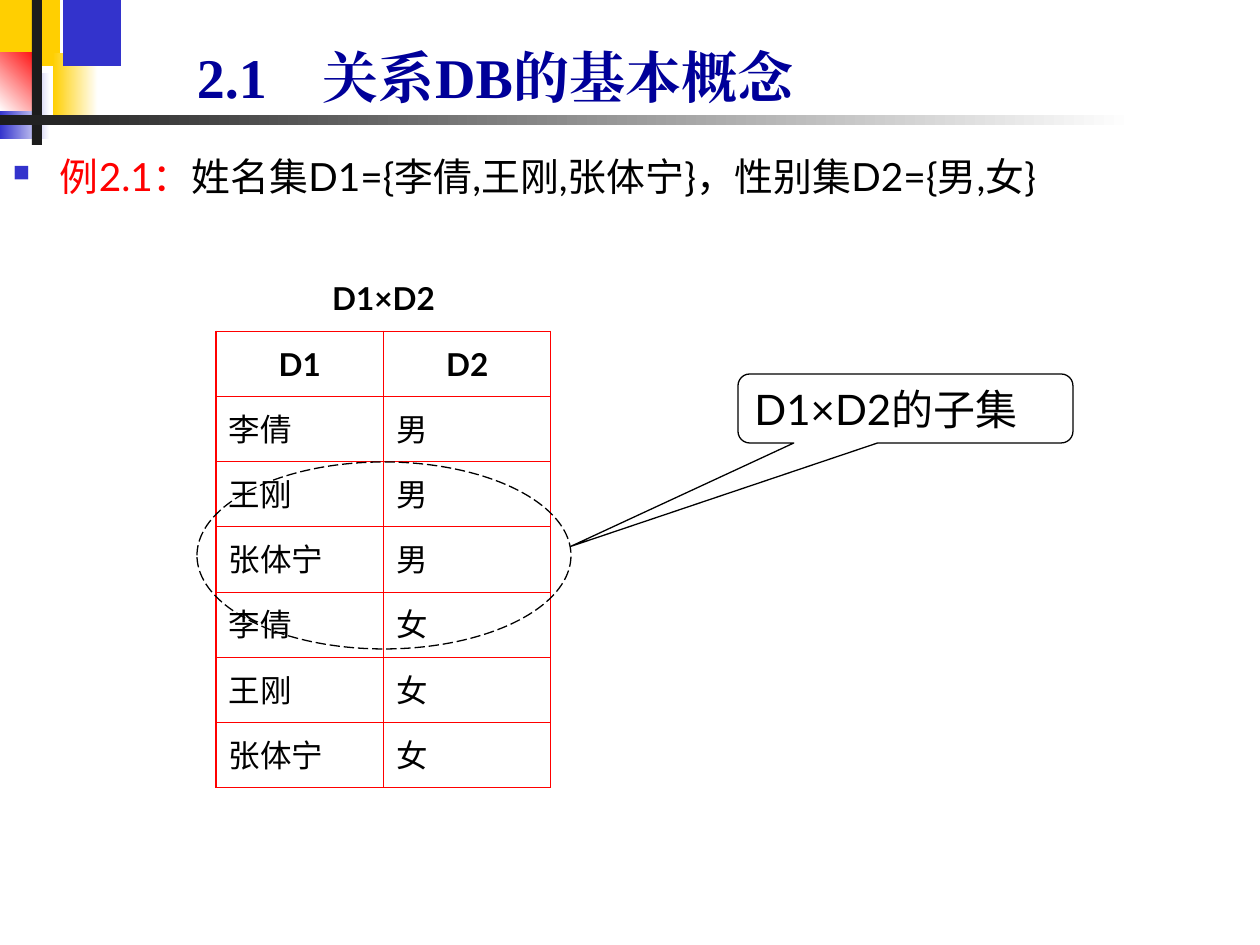
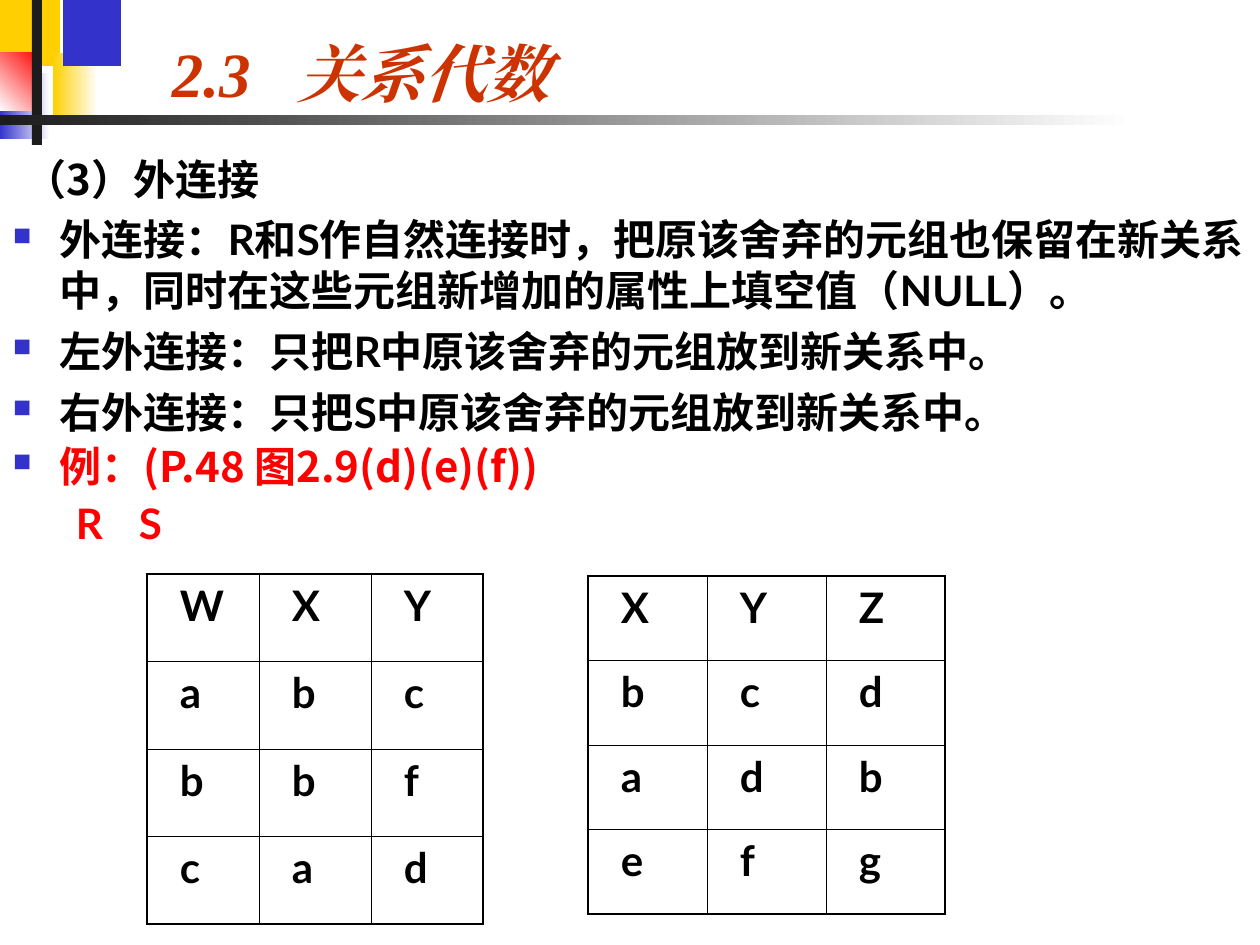
"""Builds two slides on relational databases: a Cartesian product and outer joins."""
from dataclasses import dataclass, field

from lxml.etree import SubElement
from pptx import Presentation
from pptx.dml.color import RGBColor
from pptx.enum.dml import MSO_LINE
from pptx.enum.shapes import MSO_SHAPE as Shape
from pptx.enum.text import MSO_ANCHOR as Anchor, PP_ALIGN as Align
from pptx.oxml.ns import qn
from pptx.util import Emu, Pt

PX_PER_INCH = 126
SLIDE_W, SLIDE_H = 1260, 945
INSET_X, INSET_Y = 13, 6


@dataclass(frozen=True)
class Theme:
    yellow: str = "FFCF01"
    blue: str = "3333CC"
    red: str = "FF0000"
    dark: str = "1C1C1C"
    white: str = "FFFFFF"
    black: str = "000000"
    navy: str = "000099"
    rust: str = "CC3300"
    body_font: str = "Lato"
    cjk_font: str = "Noto Sans CJK SC"
    title_font: str = "Times New Roman"
    body: float = 24
    example: float = 22.2
    cell: float = 18
    title: float = 32
    chapter: float = 36
    gap: float = 6


T = Theme()


@dataclass(frozen=True)
class Box:
    x: int
    y: int
    w: int
    h: int

    def emu(self) -> tuple:
        return px(self.x), px(self.y), px(self.w), px(self.h)


@dataclass(frozen=True)
class Block:
    box: Box
    colors: tuple
    angle: float = 0


@dataclass(frozen=True)
class Run:
    text: str
    size: float = T.body
    color: str = T.black
    font: str = T.body_font
    bold: bool = False
    italic: bool = False


@dataclass(frozen=True)
class Para:
    runs: list
    bullet: bool = False
    indent: int = 0
    before: float = T.gap
    align: Align = Align.LEFT
    tabs: tuple = ()


@dataclass(frozen=True)
class Grid:
    box: Box
    rows: list
    color: str
    outer: float
    inner: float
    size: float = T.body
    captioned: bool = False
    bold_rows: int = 0
    indent: int = 0
    anchor: Anchor = Anchor.TOP


@dataclass(frozen=True)
class Heading:
    box: Box
    text: str
    style: dict = field(default_factory=dict)


CORNER = [
    Block(Box(0, 0, 60, 66), (T.yellow,)),
    Block(Box(53, 53, 45, 66), (T.yellow, T.white)),
    Block(Box(63, 0, 58, 66), (T.blue,)),
    Block(Box(0, 73, 50, 66), (T.blue, T.white)),
    Block(Box(0, 53, 42, 58), (T.white, T.red), 45),
    Block(Box(32, 0, 10, 145), (T.dark,)),
    Block(Box(0, 115, 1134, 10), (T.dark, T.white)),
]
TITLE_TAB = 112
HANG = 47


def px(n: float) -> Emu:
    return Emu(round(n * 914400 / PX_PER_INCH))


def rgb(color: str) -> RGBColor:
    return RGBColor.from_string(color)


def assign(target, values: dict) -> None:
    for name, value in values.items():
        setattr(target, name, value)


def add_run(p, run: Run) -> None:
    r = p.add_run()
    r.text = run.text
    assign(r.font, {"size": Pt(run.size), "bold": run.bold,
                    "italic": run.italic, "name": run.font})
    r.font.color.rgb = rgb(run.color)
    SubElement(r.font._element, qn("a:ea"), typeface=run.font)


def fill_paragraph(p, para: Para, first: bool) -> None:
    pPr = p._p.get_or_add_pPr()
    pPr.set("marL", str(px(HANG if para.bullet else para.indent)))
    pPr.set("indent", str(px(-HANG if para.bullet else 0)))
    if para.bullet:
        color = SubElement(pPr, qn("a:buClr"))
        SubElement(color, qn("a:srgbClr"), val=T.blue)
        SubElement(pPr, qn("a:buSzPct"), val="60000")
        SubElement(pPr, qn("a:buChar"), char="■")
    else:
        SubElement(pPr, qn("a:buNone"))
    if para.tabs:
        stops = SubElement(pPr, qn("a:tabLst"))
        for stop in para.tabs:
            SubElement(stops, qn("a:tab"), pos=str(px(stop)), algn="l")
    assign(p, {"alignment": para.align,
               "space_before": Pt(0 if first else para.before)})
    for run in para.runs:
        add_run(p, run)


def fill_text(tf, paras: list, anchor: Anchor = Anchor.TOP) -> None:
    assign(tf, {"word_wrap": True, "vertical_anchor": anchor,
                "margin_left": px(INSET_X), "margin_right": px(INSET_X),
                "margin_top": px(INSET_Y), "margin_bottom": px(INSET_Y)})
    for i, para in enumerate(paras):
        fill_paragraph(tf.add_paragraph() if i else tf.paragraphs[0], para, i == 0)


def add_text(s, box: Box, paras: list, anchor: Anchor = Anchor.TOP) -> None:
    fill_text(s.shapes.add_textbox(*box.emu()).text_frame, paras, anchor)


def add_block(s, block: Block) -> None:
    sp = s.shapes.add_shape(Shape.RECTANGLE, *block.box.emu())
    sp.shadow.inherit = False
    sp.line.fill.background()
    if len(block.colors) == 1:
        sp.fill.solid()
        sp.fill.fore_color.rgb = rgb(block.colors[0])
        return
    sp.fill.gradient()
    sp.fill.gradient_angle = block.angle
    for i, (stop, color) in enumerate(zip(sp.fill.gradient_stops, block.colors)):
        stop.position = i
        stop.color.rgb = rgb(color)


def add_outline(s, kind: Shape, box: Box):
    sp = s.shapes.add_shape(kind, *box.emu())
    sp.shadow.inherit = False
    sp.fill.background()
    sp.line.color.rgb = rgb(T.black)
    sp.line.width = Pt(0.75)
    return sp


def set_borders(cell, color: str, widths: dict) -> None:
    tcPr = cell._tc.get_or_add_tcPr()
    for side, width in widths.items():
        ln = SubElement(tcPr, qn(f"a:ln{side}"), w=str(Pt(width)))
        if width:
            SubElement(SubElement(ln, qn("a:solidFill")), qn("a:srgbClr"), val=color)
        else:
            SubElement(ln, qn("a:noFill"))


def add_grid(s, grid: Grid) -> None:
    n_rows, n_cols = len(grid.rows), len(grid.rows[-1])
    table = s.shapes.add_table(n_rows, n_cols, *grid.box.emu()).table
    assign(table, {"first_row": False, "horz_banding": False})
    for column in table.columns:
        column.width = px(grid.box.w / n_cols)
    for row in table.rows:
        row.height = px(grid.box.h / n_rows)
    if grid.captioned:
        table.cell(0, 0).merge(table.cell(0, n_cols - 1))
    for i in range(n_rows):
        header = i < grid.bold_rows
        for j in range(n_cols):
            cell = table.cell(i, j)
            edges = {"L": j == 0, "R": j == n_cols - 1,
                     "T": i == 0, "B": i == n_rows - 1}
            widths = {k: grid.outer if edge else grid.inner for k, edge in edges.items()}
            if grid.captioned and i == 0:
                widths.update(L=0, R=0, T=0)
            set_borders(cell, grid.color, widths)
            cell.fill.background()
            assign(cell, {"vertical_anchor": grid.anchor,
                          "margin_left": px(INSET_X), "margin_right": px(INSET_X),
                          "margin_top": px(INSET_Y), "margin_bottom": px(INSET_Y)})
            if j < len(grid.rows[i]):
                run = Run(grid.rows[i][j], grid.size, bold=header or not grid.bold_rows)
                align = Align.CENTER if header else Align.LEFT
                para = Para([run], indent=grid.indent, align=align)
                fill_paragraph(cell.text_frame.paragraphs[0], para, True)


def add_slide(prs, heading: Heading):
    s = prs.slides.add_slide(prs.slide_layouts[6])
    for block in CORNER:
        add_block(s, block)
    run = Run(heading.text, font=T.title_font, bold=True, **heading.style)
    add_text(s, heading.box, [Para([run], tabs=(TITLE_TAB,))], Anchor.BOTTOM)
    return s


def build_product(prs) -> None:
    s = add_slide(prs, Heading(Box(184, 0, 673, 116), "2.1\t关系DB的基本概念",
                               {"size": T.title, "color": T.navy}))
    add_text(s, Box(0, 147, SLIDE_W, 107), [Para([
        Run("例2.1：", T.example, T.red),
        Run("姓名集D1={李倩,王刚,张体宁}，性别集D2={男,女}", T.example)], bullet=True)])
    names, genders = ["李倩", "王刚", "张体宁"], ["男", "女"]
    pairs = [[name, gender] for gender in genders for name in names]
    add_grid(s, Grid(Box(216, 266, 335, 522), [["D1×D2"], ["D1", "D2"], *pairs],
                     T.red, 0.75, 0.75, T.cell, captioned=True, bold_rows=2,
                     anchor=Anchor.MIDDLE))
    subset = add_outline(s, Shape.OVAL, Box(197, 462, 374, 187))
    subset.line.dash_style = MSO_LINE.LONG_DASH
    callout = add_outline(s, Shape.ROUNDED_RECTANGULAR_CALLOUT, Box(738, 374, 335, 69))
    for i, value in enumerate((-1.0, 2.0, 0.17)):
        callout.adjustments[i] = value
    fill_text(callout.text_frame, [Para([Run("D1×D2的子集")])])


def build_outer_join(prs) -> None:
    s = add_slide(prs, Heading(Box(159, 0, 859, 116), "2.3\t关系代数",
                               {"size": T.chapter, "color": T.rust, "italic": True}))
    points = [
        "外连接：R和S作自然连接时，把原该舍弃的元组也保留在新关系中，"
        "同时在这些元组新增加的属性上填空值（NULL）。",
        "左外连接：只把R中原该舍弃的元组放到新关系中。",
        "右外连接：只把S中原该舍弃的元组放到新关系中。",
    ]
    add_text(s, Box(0, 147, SLIDE_W, 798), [
        Para([Run("（3）外连接", font=T.cjk_font, bold=True)], indent=12),
        *(Para([Run(point, bold=True)], bullet=True) for point in points),
        Para([Run("例：", color=T.red, bold=True),
              Run("(P.48 图2.9(d)(e)(f))", color=T.red, font=T.cjk_font, bold=True)],
             bullet=True, before=2),
        Para([Run("\tR\tS", color=T.red, bold=True)], before=4, tabs=(246, 577)),
    ])
    relations = [(Box(147, 574, 336, 350), ("WXY", "abc", "bbf", "cad")),
                 (Box(588, 576, 357, 338), ("XYZ", "bcd", "adb", "efg"))]
    for box, rows in relations:
        add_grid(s, Grid(box, rows, T.black, 1.08, 0.45, indent=20))


def main() -> None:
    prs = Presentation()
    assign(prs, {"slide_width": px(SLIDE_W), "slide_height": px(SLIDE_H)})
    build_product(prs)
    build_outer_join(prs)
    prs.save("out.pptx")


if __name__ == "__main__":
    main()
